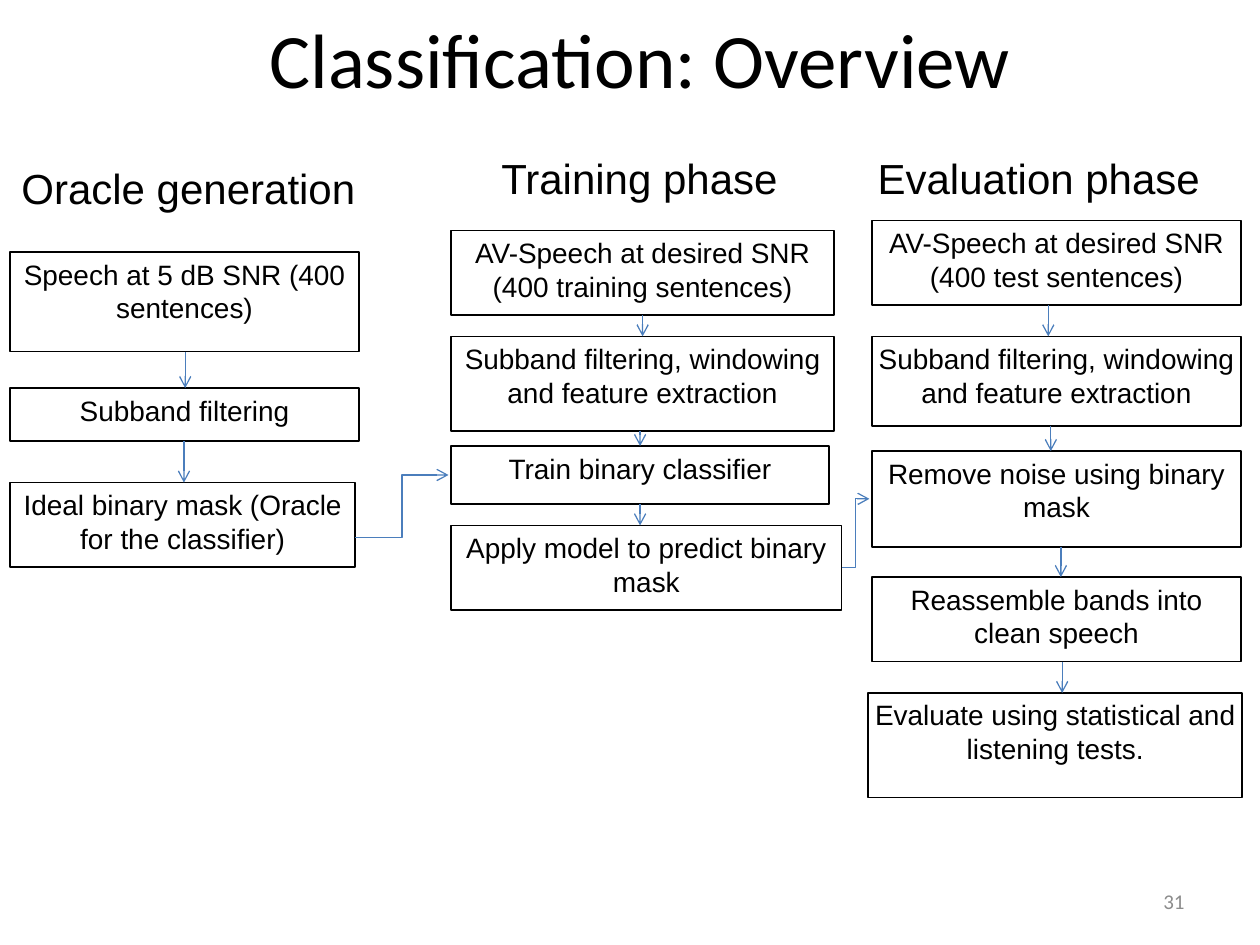
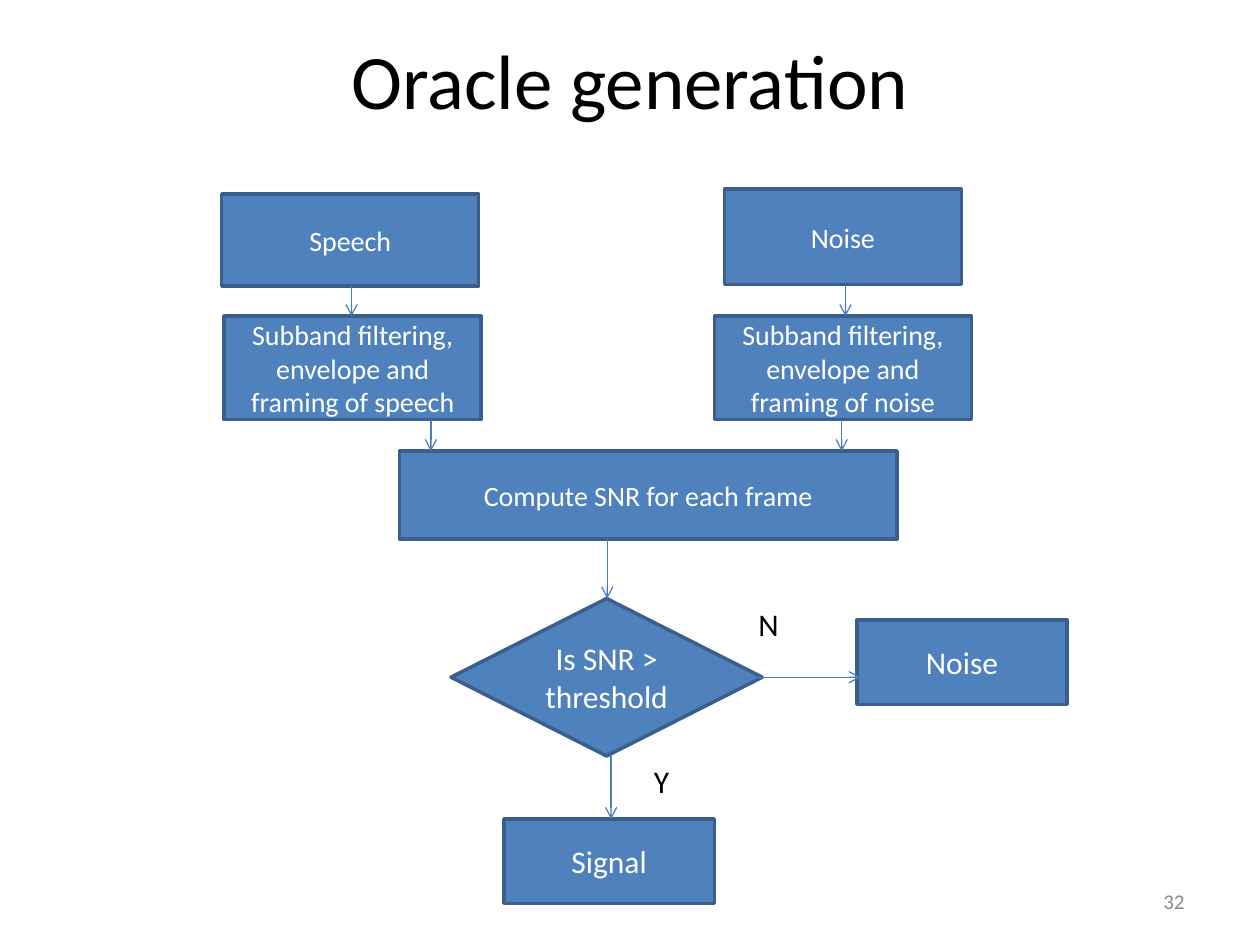
from dataclasses import dataclass
from itertools import pairwise
from lxml.etree import SubElement
from pptx import Presentation
from pptx.dml.color import RGBColor
from pptx.enum.shapes import MSO_CONNECTOR, MSO_SHAPE
from pptx.enum.text import MSO_ANCHOR, PP_ALIGN
from pptx.oxml.ns import qn
from pptx.util import Inches, Pt


@dataclass(frozen=True)
class Theme:
    """Colours, fonts and type sizes of the deck."""
    ink: str = "000000"
    paper: str = "FFFFFF"
    fill: str = "4F81BD"
    edge: str = "3A5F8C"
    arrow: str = "4B7EBC"
    grey: str = "8C8C8C"
    main: str = "Calibri"
    plain: str = "Arial"
    title: int = 44
    head: int = 24
    large: int = 18
    step: int = 16
    foot: int = 12
    inset: float = 0.04


THEME = Theme()

PHASES = [
    ("Oracle generation", 0.08, 1.25, -0.25, [
        ("Speech at 5 dB SNR (400 sentences)", 0, 0.75, 2.77, 0.79),
        ("Subband filtering", 0, 1.83, 2.77, 0.42),
        ("Ideal binary mask (Oracle for the classifier)", 0, 2.58, 2.74, 0.67),
    ], [1.39, 1.38]),
    ("Training phase", 3.58, 1.17, -0.17, [
        ("AV-Speech at desired SNR (400 training sentences)", 0, 0.66, 3.04, 0.67),
        ("Subband filtering, windowing and feature extraction", 0, 1.5, 3.04, 0.75),
        ("Train binary classifier", 0, 2.37, 3, 0.46),
        ("Apply model to predict binary mask", 0, 3, 3.1, 0.67),
    ], [1.52, 1.5, 1.5]),
    ("Evaluation phase", 6.92, 1.17, -0.34, [
        ("AV-Speech at desired SNR (400 test sentences)", 0, 0.58, 2.93, 0.67),
        ("Subband filtering, windowing and feature extraction", 0, 1.5, 2.93, 0.71),
        ("Remove noise using binary mask", 0, 2.41, 2.93, 0.76),
        ("Reassemble bands into clean speech", 0, 3.41, 2.93, 0.67),
        ("Evaluate using statistical and listening tests.", -0.03, 4.33, 2.97, 0.83),
    ], [1.4, 1.42, 1.5, 1.51]),
]


def color(code):
    """Turn a hex code into a colour."""
    return RGBColor.from_string(code)


def write(shape, text, size, tint, font, align=PP_ALIGN.CENTER,
          anchor=MSO_ANCHOR.MIDDLE, inset=None):
    """Put formatted text in a shape."""
    frame = shape.text_frame
    frame.text = text
    frame.word_wrap = True
    frame.vertical_anchor = anchor
    if inset is not None:
        frame.margin_left = frame.margin_right = Inches(inset)
        frame.margin_top = frame.margin_bottom = Inches(inset)
    for line in frame.paragraphs:
        line.alignment = align
        for run in line.runs:
            run.font.size = Pt(size)
            run.font.name = font
            run.font.color.rgb = color(tint)


def label(slide, text, box, *style, **opts):
    """Add a text box with formatted text."""
    write(slide.shapes.add_textbox(*map(Inches, box)), text, *style, **opts)


def block(slide, kind, box, edge, width, fill=None):
    """Add an outlined shape, filled when a colour is given."""
    shape = slide.shapes.add_shape(kind, *map(Inches, box))
    shape.shadow.inherit = False
    shape.line.color.rgb = color(edge)
    shape.line.width = Pt(width)
    if fill:
        shape.fill.solid()
        shape.fill.fore_color.rgb = color(fill)
    else:
        shape.fill.background()
    return shape


def arrow(slide, start, end, kind=MSO_CONNECTOR.STRAIGHT):
    """Draw an arrow between two points."""
    link = slide.shapes.add_connector(kind, *start, *end)
    link.line.color.rgb = color(THEME.arrow)
    link.line.width = Pt(0.75)
    SubElement(link.line._get_or_add_ln(), qn("a:tailEnd"), type="arrow")
    SubElement(link._element.spPr, qn("a:effectLst"))


def drop(slide, upper, lower, x):
    """Draw a downward arrow from one block to the next."""
    arrow(slide, (x, upper.top + upper.height), (x, lower.top))


def bend(slide, left, right, shift=0):
    """Draw an elbow arrow from one block to another on its right."""
    start = left.left + left.width, left.top + left.height // 2 + Inches(shift)
    end = right.left - Inches(0.02), right.top + right.height // 2
    arrow(slide, start, end, MSO_CONNECTOR.ELBOW)


def phase(slide, head, left, top, pad, steps, marks):
    """Build one headed column of steps and return its blocks."""
    label(slide, head, (left + pad, top, 3.33, 0.52), THEME.head, THEME.ink,
          THEME.plain, anchor=MSO_ANCHOR.TOP, inset=THEME.inset)
    blocks = []
    for text, x, y, wide, high in steps:
        shape = block(slide, MSO_SHAPE.RECTANGLE, (left + x, top + y, wide, high),
                      THEME.ink, 1)
        write(shape, text, THEME.step, THEME.ink, THEME.plain,
              anchor=MSO_ANCHOR.TOP, inset=THEME.inset)
        blocks.append(shape)
    for (upper, lower), x in zip(pairwise(blocks), marks):
        drop(slide, upper, lower, Inches(left + x))
    return blocks


def chart(slide, left, top):
    """Build the decision flow from its top left corner."""
    def node(text, x, y, wide, high, size=THEME.step, kind=MSO_SHAPE.RECTANGLE):
        """Add one filled node."""
        shape = block(slide, kind, (left + x, top + y, wide, high),
                      THEME.edge, 2, THEME.fill)
        write(shape, text, size, THEME.paper, THEME.main)
        return shape

    big = THEME.large
    speech = node("Speech", 0, 0.04, 2.04, 0.73)
    noise = node("Noise", 3.99, 0, 1.88, 0.76)
    voice = node("Subband filtering, envelope and framing of speech",
                 0.02, 1.01, 2.04, 0.82)
    hiss = node("Subband filtering, envelope and framing of noise",
                3.91, 1.01, 2.04, 0.82)
    ratio = node("Compute SNR for each frame", 1.41, 2.08, 3.95, 0.7)
    test = node("Is SNR > threshold", 1.82, 3.25, 2.47, 1.25, big,
                MSO_SHAPE.FLOWCHART_DECISION)
    signal = node("Signal", 2.24, 5, 1.67, 0.67, big)
    node("Noise", 5.04, 3.42, 1.67, 0.67, big)
    for upper, lower, x in [(speech, voice, 1.03), (noise, hiss, 4.95),
                            (voice, ratio, 1.66), (hiss, ratio, 4.92),
                            (ratio, test, 3.06), (test, signal, 3.09)]:
        drop(slide, upper, lower, Inches(left + x))
    mid = test.top + test.height // 2
    arrow(slide, (Inches(left + 3.99), mid), (Inches(left + 5.07), mid))
    for text, x, y in [("N", 4.16, 3.25), ("Y", 3.33, 4.5)]:
        label(slide, text, (left + x, top + y, 0.58, 0.4), big, THEME.ink,
              THEME.main, align=PP_ALIGN.LEFT, anchor=MSO_ANCHOR.TOP)


def page(deck, title, left, top, number):
    """Add a slide with its title and number."""
    slide = deck.slides.add_slide(deck.slide_layouts[5])
    head = slide.shapes.title
    head.left, head.top, head.width, head.height = map(Inches, (left, top, 9, 1.25))
    write(head, title, THEME.title, THEME.ink, THEME.main)
    label(slide, str(number), (7.17, 6.95, 2.33, 0.4), THEME.foot, THEME.grey,
          THEME.main, align=PP_ALIGN.RIGHT)
    return slide


def main():
    """Build and save the deck."""
    deck = Presentation()
    deck.slide_width, deck.slide_height = Inches(10), Inches(7.5)
    slide = page(deck, "Classification: Overview", 0.58, -0.17, 31)
    oracle, train, judge = [phase(slide, *part) for part in PHASES]
    bend(slide, oracle[-1], train[2], 0.1)
    bend(slide, train[-1], judge[2])
    chart(page(deck, "Oracle generation", 0.5, 0, 32), 1.76, 1.5)
    deck.save("out.pptx")


if __name__ == "__main__":
    main()
